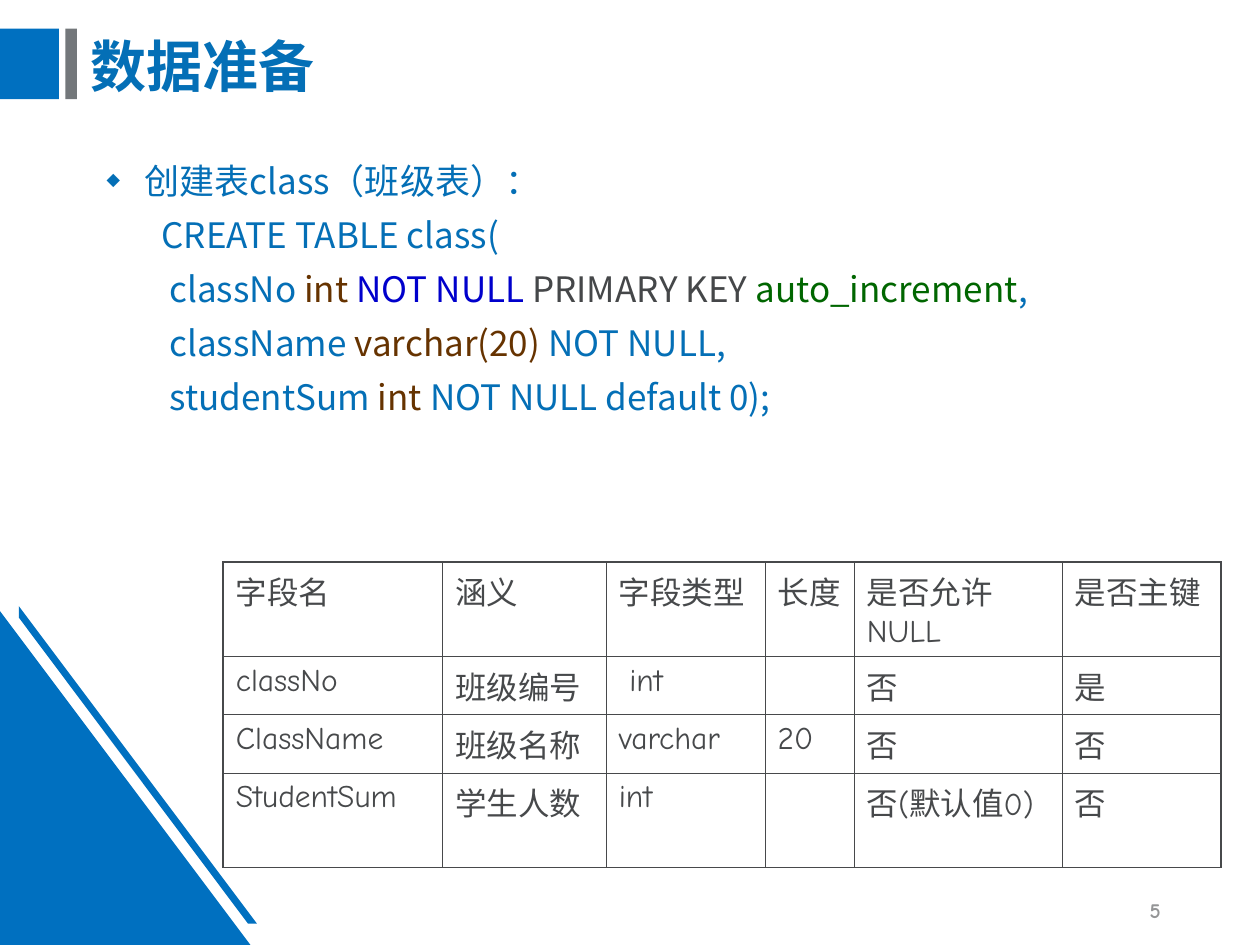
"""Build the slide on preparing the class table: its SQL statement and its field list."""
from dataclasses import dataclass

from lxml import etree
from pptx import Presentation
from pptx import util as u
from pptx.dml.color import RGBColor
from pptx.enum import shapes, text
from pptx.oxml import ns

Cm, Pt = u.Cm, u.Pt
BLUE, INK, GREY, TYPE = "0070C0", "47494B", "73777A", "663300"
TITLE_BLUE = "046FB6"
SANS, COMIC = "Noto Sans CJK SC", "Comic Neue"


@dataclass
class Block:
    kind: int
    left: float
    top: float
    width: float
    height: float
    fill: str


@dataclass
class Span:
    words: str
    color: str = TITLE_BLUE


BLOCKS = [
    Block(shapes.MSO_SHAPE.RECTANGLE, 0, 0.58, 1.19, 1.42, BLUE),
    Block(shapes.MSO_SHAPE.RECTANGLE, 1.32, 0.58, 0.23, 1.42, GREY),
    Block(shapes.MSO_SHAPE.RIGHT_TRIANGLE, 0, 12.32, 5.05, 6.73, BLUE),
]
STRIPE = [(0.38, 12.22), (5.18, 18.62), (5, 18.62), (0.38, 12.45)]
STATEMENT = [
    [Span("创建表class（班级表）：")],
    [Span("       CREATE TABLE class(")],
    [Span("        classNo "), Span("int ", TYPE), Span("NOT NULL ", "0000CC"),
     Span("PRIMARY KEY ", "454749"), Span("auto_increment", "006600"), Span(",")],
    [Span("        className "), Span("varchar(20)", TYPE), Span(" NOT NULL,")],
    [Span("        studentSum "), Span("int ", TYPE), Span("NOT NULL default 0);")],
]
FIELDS = [
    ["字段名", "涵义", "字段类型", "长度", "是否允许NULL", "是否主键"],
    ["classNo", "班级编号", " int", "", "否", "是"],
    ["ClassName", "班级名称", "varchar", "20", "否", "否"],
    ["StudentSum", "学生人数", "int", "", "否(默认值0)", "否"],
]
COLUMN_WIDTHS = [4.42, 3.3, 3.2, 1.8, 4.19, 3.2]
ROW_HEIGHTS = [1.91, 1.17, 1.17, 1.91]


def rgb(color: str) -> RGBColor:
    return RGBColor.from_string(color)


def add_element(parent, tag: str, **attributes: str):
    return etree.SubElement(parent, ns.qn(tag), attributes)


def set_font(para, face: str, size: float, color: str, bold: bool = False) -> None:
    font = para.font
    font.name, font.size, font.bold = face, Pt(size), bold
    font.color.rgb = rgb(color)
    defaults = para._p.pPr.find(ns.qn("a:defRPr"))
    add_element(defaults, "a:ea", typeface=SANS)


def paint(shape, color: str) -> None:
    shape.shadow.inherit = False
    shape.fill.solid()
    shape.fill.fore_color.rgb = rgb(color)
    shape.line.fill.background()


def draw_decoration(page) -> None:
    for block in BLOCKS:
        shape = page.shapes.add_shape(block.kind, Cm(block.left), Cm(block.top),
                                      Cm(block.width), Cm(block.height))
        paint(shape, block.fill)
    start, *rest = [(Cm(x), Cm(y)) for x, y in STRIPE]
    builder = page.shapes.build_freeform(*start)
    builder.add_line_segments(rest)
    paint(builder.convert_to_shape(), BLUE)


def write_title(page, words: str) -> None:
    title = page.shapes.title
    title.left, title.top, title.width, title.height = Cm(1.57), Cm(0.41), Cm(19.08), Cm(1.98)
    title.text_frame.text = words
    title.text_frame.vertical_anchor = text.MSO_ANCHOR.MIDDLE
    para = title.text_frame.paragraphs[0]
    para.alignment, para.line_spacing = text.PP_ALIGN.LEFT, 0.9
    set_font(para, SANS, 32, TITLE_BLUE, bold=True)


def add_bullet(properties) -> None:
    color = add_element(properties, "a:buClr")
    add_element(color, "a:srgbClr", val=TITLE_BLUE)
    add_element(properties, "a:buSzPct", val="50000")
    add_element(properties, "a:buChar", char="◆")


def write_statement(page) -> None:
    box = page.shapes.add_textbox(Cm(1.9), Cm(3.18), Cm(21.39), Cm(7.75))
    frame = box.text_frame
    frame.word_wrap = True
    for index, spans in enumerate(STATEMENT):
        para = frame.add_paragraph() if index else frame.paragraphs[0]
        para.alignment, para.line_spacing = text.PP_ALIGN.JUSTIFY, 0.91
        properties = para._p.get_or_add_pPr()
        properties.set("marL", str(Cm(0.76)))
        properties.set("indent", str(-Cm(0.76)))
        if index:
            para.space_before = Pt(9)
        else:
            add_bullet(properties)
        set_font(para, SANS, 20, TITLE_BLUE)
        for span in spans:
            run = para.add_run()
            run.text = span.words
            if span.color != TITLE_BLUE:
                run.font.color.rgb = rgb(span.color)


def set_borders(cell, first_row: bool, first_column: bool, last_column: bool) -> None:
    cell.fill.background()
    properties = cell._tc.get_or_add_tcPr()
    outer = {"L": first_column, "R": last_column, "T": first_row, "B": False}
    for index, (side, thick) in enumerate(outer.items()):
        line = etree.Element(ns.qn(f"a:ln{side}"), w=str(Pt(1.08 if thick else 0.45)))
        fill = add_element(line, "a:solidFill")
        add_element(fill, "a:srgbClr", val=INK)
        properties.insert(index, line)


def draw_fields(page) -> None:
    rows, columns = len(FIELDS), len(COLUMN_WIDTHS)
    table = page.shapes.add_table(rows, columns, Cm(4.5), Cm(11.33),
                                  Cm(sum(COLUMN_WIDTHS)), Cm(sum(ROW_HEIGHTS))).table
    table.first_row = table.horz_banding = False
    for column, width in zip(table.columns, COLUMN_WIDTHS):
        column.width = Cm(width)
    for row, height in zip(table.rows, ROW_HEIGHTS):
        row.height = Cm(height)
    for r, values in enumerate(FIELDS):
        for c, value in enumerate(values):
            cell = table.cell(r, c)
            cell.text = value
            set_font(cell.text_frame.paragraphs[0], COMIC, 18, INK)
            set_borders(cell, r == 0, c == 0, c == columns - 1)


def write_page_number(page, number: str) -> None:
    box = page.shapes.add_textbox(Cm(17.93), Cm(17.83), Cm(5.72), Cm(1.02))
    box.text_frame.word_wrap = True
    box.text_frame.vertical_anchor = text.MSO_ANCHOR.MIDDLE
    para = box.text_frame.paragraphs[0]
    para.text = number
    para.alignment = text.PP_ALIGN.RIGHT
    set_font(para, COMIC, 12, "949596", bold=True)


def main() -> None:
    deck = Presentation()
    deck.slide_width, deck.slide_height = Cm(25.4), Cm(19.05)
    page = deck.slides.add_slide(deck.slide_layouts.get_by_name("Title Only"))
    draw_decoration(page)
    write_page_number(page, "5")
    write_title(page, "数据准备")
    write_statement(page)
    draw_fields(page)
    deck.save("out.pptx")


if __name__ == "__main__":
    main()
